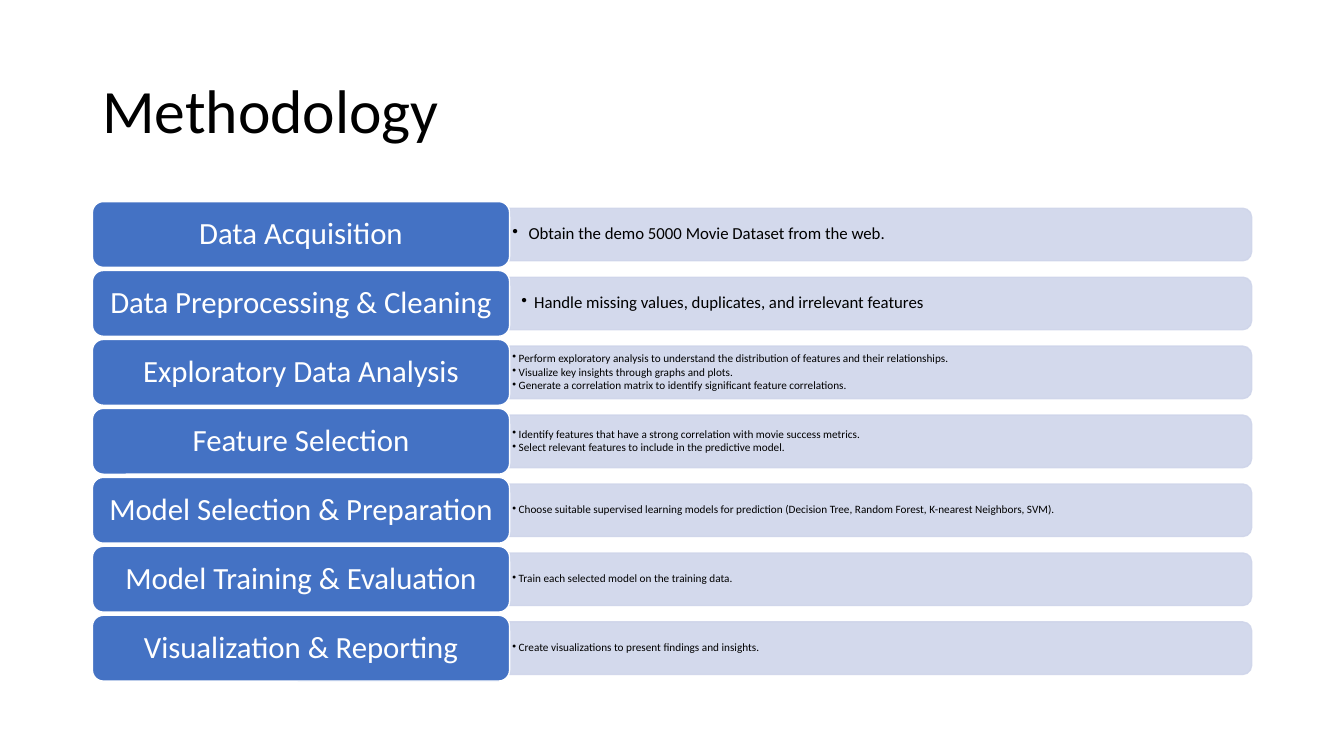
from lxml import etree
from pptx import Presentation
from pptx import util as u
from pptx.dml.color import RGBColor
from pptx.enum import shapes, text
from pptx.oxml import ns

PX = 6350  # 144 px to the inch
BLACK = RGBColor(0x00, 0x00, 0x00)
WHITE = RGBColor(0xFF, 0xFF, 0xFF)
BLUE = RGBColor(0x44, 0x72, 0xC4)
PALE = RGBColor(0xCF, 0xD5, 0xEA)

LEFT, TOP, PITCH = 132, 288, 98.5
LABEL_W, LABEL_H = 596, 94
BAR_W, BAR_H = 1060, 75
TEXT_W, TEXT_H = 1056, 68

# step, bullet size in points, indent in px, side and top insets in px, bullets
STEPS = [
    ("Data Acquisition", 12, 23, (4, 3),
     ["Obtain the demo 5000 Movie Dataset from the web."]),
    ("Data Preprocessing & Cleaning", 12, 18, (17, 9),
     ["Handle missing values, duplicates, and irrelevant features"]),
    ("Exploratory Data Analysis", 8, 9, (4, 3),
     ["Perform exploratory analysis to understand the distribution of features and their relationships.",
      "Visualize key insights through graphs and plots.",
      "Generate a correlation matrix to identify significant feature correlations."]),
    ("Feature Selection", 8, 9, (4, 3),
     ["Identify features that have a strong correlation with movie success metrics.",
      "Select relevant features to include in the predictive model."]),
    ("Model Selection & Preparation", 8, 9, (4, 3),
     ["Choose suitable supervised learning models for prediction "
      "(Decision Tree, Random Forest, K-nearest Neighbors, SVM)."]),
    ("Model Training & Evaluation", 8, 9, (4, 3),
     ["Train each selected model on the training data."]),
    ("Visualization & Reporting", 8, 9, (4, 3),
     ["Create visualizations to present findings and insights."]),
]


def px(*lengths):
    return [round(length * PX) for length in lengths]


def write(box, lines, size, color, align=text.PP_ALIGN.LEFT, insets=(13, 7), indent=0):
    """Fill a shape with paragraphs; a nonzero indent makes them bullets."""
    frame = box.text_frame
    frame.word_wrap = True
    frame.auto_size = text.MSO_AUTO_SIZE.NONE
    frame.vertical_anchor = text.MSO_ANCHOR.MIDDLE
    frame.margin_left, frame.margin_top = px(*insets)
    frame.margin_right, frame.margin_bottom = px(*insets)
    frame.text = "\n".join(lines)
    for para in frame.paragraphs:
        para.alignment = align
        para.line_spacing = 0.9
        para.space_before = u.Pt(0)
        para.space_after = u.Pt(size * 0.15)
        for span in para.runs:
            span.font.name = "Calibri"
            span.font.size = u.Pt(size)
            span.font.color.rgb = color
        if indent:
            props = para._p.get_or_add_pPr()
            props.set("marL", str(indent * PX))
            props.set("indent", str(-indent * PX))
            etree.SubElement(props, ns.qn("a:buChar")).set("char", "•")


deck = Presentation()
deck.slide_width, deck.slide_height = px(1920, 1080)
page = deck.slides.add_slide(deck.slide_layouts[5])

title = page.shapes.title
title.left, title.top, title.width, title.height = px(132, 58, 1656, 209)
write(title, ["Methodology"], 44, BLACK, insets=(14, 7))

for row, (step, size, indent, insets, bullets) in enumerate(STEPS):
    top = TOP + row * PITCH
    middle = top + LABEL_H / 2
    bar_left = LEFT + LABEL_W

    # The bar stands upright and is turned so its round corners face right.
    bar = page.shapes.add_shape(
        shapes.MSO_SHAPE.ROUND_2_SAME_RECTANGLE,
        *px(bar_left + (BAR_W - BAR_H) / 2, middle - BAR_W / 2, BAR_H, BAR_W))
    bar.rotation = 90
    bar.shadow.inherit = False
    bar.fill.solid()
    bar.fill.fore_color.rgb = PALE
    bar.line.color.rgb = PALE
    bar.line.width = u.Pt(1)
    for tint in bar._element.spPr.iter(ns.qn("a:srgbClr")):
        etree.SubElement(tint, ns.qn("a:alpha")).set("val", "90000")

    details = page.shapes.add_textbox(
        *px(bar_left, middle - TEXT_H / 2, TEXT_W, TEXT_H))
    write(details, bullets, size, BLACK, insets=insets, indent=indent)

    label = page.shapes.add_shape(
        shapes.MSO_SHAPE.ROUNDED_RECTANGLE, *px(LEFT, top, LABEL_W, LABEL_H))
    label.shadow.inherit = False
    label.fill.solid()
    label.fill.fore_color.rgb = BLUE
    label.line.color.rgb = WHITE
    label.line.width = u.Pt(1)
    write(label, [step], 22, WHITE, align=text.PP_ALIGN.CENTER)

deck.save("out.pptx")
